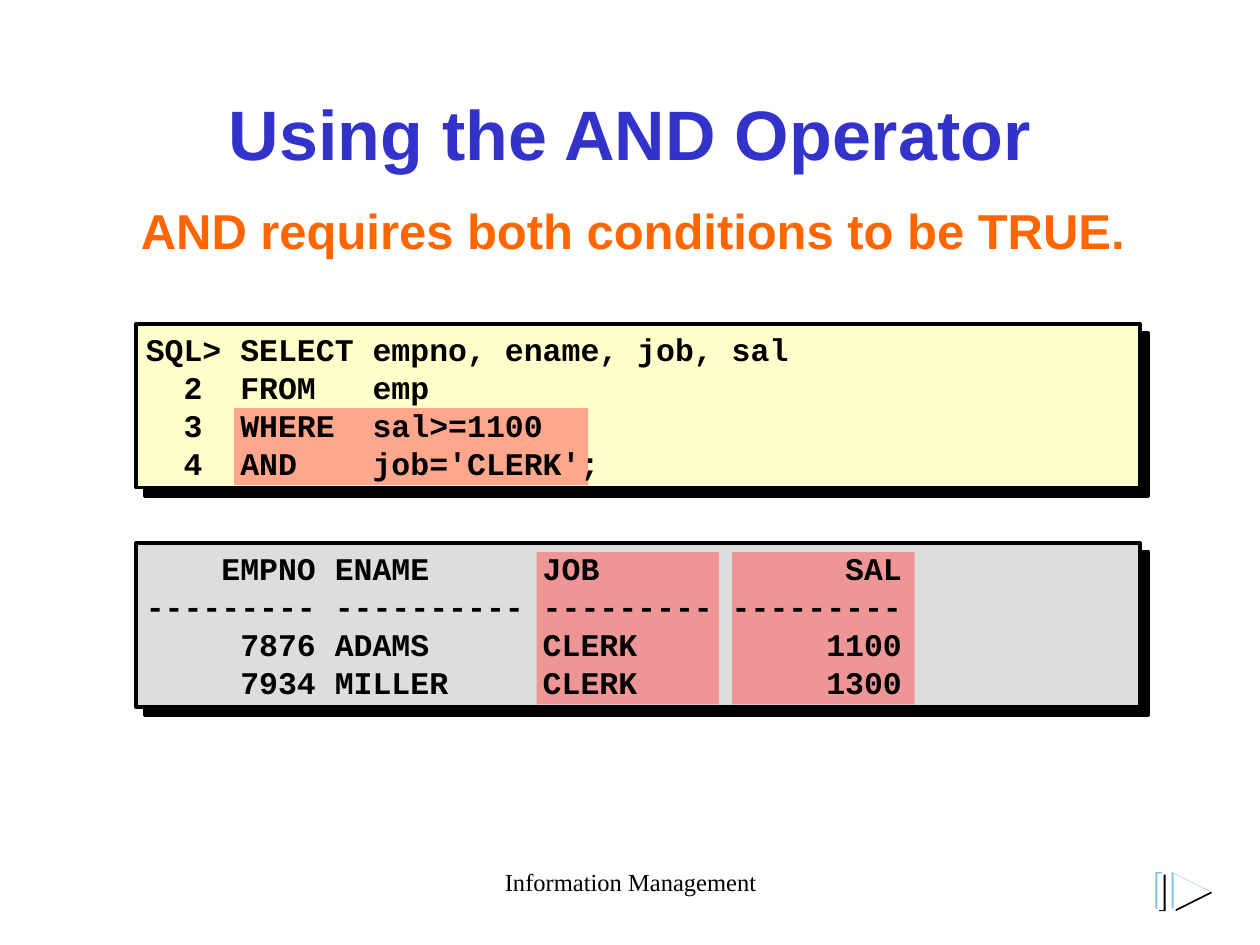
from lxml.etree import SubElement
from pptx import Presentation
from pptx.dml.color import RGBColor as RGB
from pptx.enum.shapes import MSO_SHAPE as Shape
from pptx.enum.text import MSO_ANCHOR as Anchor, PP_ALIGN as Align
from pptx.oxml.ns import qn
from pptx.util import Cm, Pt

# Content
TITLE = "Using the AND Operator"
RULE = "AND requires both conditions to be TRUE."
FOOTER = "Information Management"
QUERY = [
    "SQL> SELECT empno, ename, job, sal",
    "  2  FROM   emp",
    "  3  WHERE  sal>=1100",
    "  4  AND    job='CLERK';",
]
RESULT = [
    "    EMPNO ENAME      JOB             SAL",
    "--------- ---------- --------- ---------",
    "     7876 ADAMS      CLERK          1100",
    "     7934 MILLER     CLERK          1300",
]

# Theme: (font, size, colour, bold) per text role, and fill colours
THEME = {
    "title": ("Arial", 40, "3333CC", True),
    "rule": ("Arial", 28, "FF6600", True),
    "code": ("Courier New", 18, "000000", True),
    "footer": ("Times New Roman", 14, "000000", False),
    "query": "FFFFCC",
    "result": "DDDDDD",
    "highlight": "FF5050",
    "edge": "000000",
}

# Layout in centimetres
PANEL_LEFT, PANEL_WIDTH, PANEL_HEIGHT = 2.74, 20.24, 3.3
PANELS = [(6.53, QUERY, "query"), (10.95, RESULT, "result")]
HIGHLIGHTS = [(4.72, 8.23, 7.14, 1.55)] + [
    (left, 11.13, 3.68, 3.07) for left in (10.82, 14.76)]
ICON_LEFT, ICON_TOP, ICON_SIZE, BAR_WIDTH, ARROW_GAP = 23.29, 17.58, 0.74, 0.13, 0.33
ICON_LAYERS = [(0.08, 0.05, "000000"), (0, 0, "7FC1EB"), (0.04, 0.03, "FFFFFF")]


def cm(*lengths):
    return [Cm(length) for length in lengths]


def write(frame, lines, role, align=Align.LEFT, anchor=Anchor.TOP, wrap=True):
    name, size, color, bold = THEME[role]
    frame.word_wrap = wrap
    frame.vertical_anchor = anchor
    frame.text = "\n".join(lines)
    for paragraph in frame.paragraphs:
        paragraph.alignment = align
        font = paragraph.font
        font.name, font.size, font.bold = name, Pt(size), bold
        font.color.rgb = RGB.from_string(color)


def add_shadow(properties, distance):
    effects = SubElement(properties, qn("a:effectLst"))
    shadow = SubElement(effects, qn("a:outerShdw"), dist=str(Pt(distance)),
                        dir="2700000", algn="ctr", rotWithShape="0")
    SubElement(shadow, qn("a:srgbClr"), val=THEME["edge"])


def paint(shape, color):
    shape.shadow.inherit = False
    shape.fill.solid()
    shape.fill.fore_color.rgb = RGB.from_string(color)
    shape.line.fill.background()


prs = Presentation()
prs.slide_width, prs.slide_height = cm(25.4, 19.05)
slide = prs.slides.add_slide(prs.slide_layouts[5])
shapes = slide.shapes

# Title with a hard text shadow
title = shapes.title
title.left, title.top, title.width, title.height = cm(1.9, 1.7, 21.59, 3.18)
write(title.text_frame, [TITLE], "title", Align.CENTER)
add_shadow(title.text_frame.paragraphs[0].runs[0].font._element, 2.8)

# Rule and footer
rule = shapes.add_textbox(*cm(2.59, 3.92, 20.4, 1.4))
write(rule.text_frame, [RULE], "rule", wrap=False)
footer = shapes.add_textbox(*cm(8.69, 17.35, 8.05, 1.27))
write(footer.text_frame, [FOOTER], "footer", Align.CENTER)

# Code panels
for top, lines, fill in PANELS:
    panel = shapes.add_shape(
        Shape.RECTANGLE, *cm(PANEL_LEFT, top, PANEL_WIDTH, PANEL_HEIGHT))
    paint(panel, THEME[fill])
    panel.line.color.rgb = RGB.from_string(THEME["edge"])
    panel.line.width = Pt(2)
    properties = panel._element.spPr
    properties.remove(properties.find(qn("a:effectLst")))
    add_shadow(properties, 7.1)

# Translucent highlights between panels and code
highlights = shapes.add_group_shape()
for box in HIGHLIGHTS:
    highlight = highlights.shapes.add_shape(Shape.RECTANGLE, *cm(*box))
    paint(highlight, THEME["highlight"])
    color = highlight._element.spPr.find(qn("a:solidFill"))[0]
    SubElement(color, qn("a:alpha"), val="50000")

# Code text
for top, lines, fill in PANELS:
    code = shapes.add_textbox(
        *cm(PANEL_LEFT - 0.05, top - 0.05, PANEL_WIDTH + 0.1, PANEL_HEIGHT + 0.1))
    write(code.text_frame, lines, "code", anchor=Anchor.MIDDLE)

# Embossed "next" icon: a bar and an arrow in three offset layers
icon = shapes.add_group_shape().shapes
for dx, dy, color in ICON_LAYERS:
    bar = icon.add_shape(
        Shape.RECTANGLE, *cm(ICON_LEFT + dx, ICON_TOP + dy, BAR_WIDTH, ICON_SIZE))
    paint(bar, color)
for dx, dy, color in ICON_LAYERS:
    left, top = ICON_LEFT + ARROW_GAP + dx, ICON_TOP + dy
    outline = icon.build_freeform(*cm(left, top))
    outline.add_line_segments([
        cm(left + ICON_SIZE, top + ICON_SIZE / 2), cm(left, top + ICON_SIZE)])
    paint(outline.convert_to_shape(), color)

prs.save("out.pptx")
